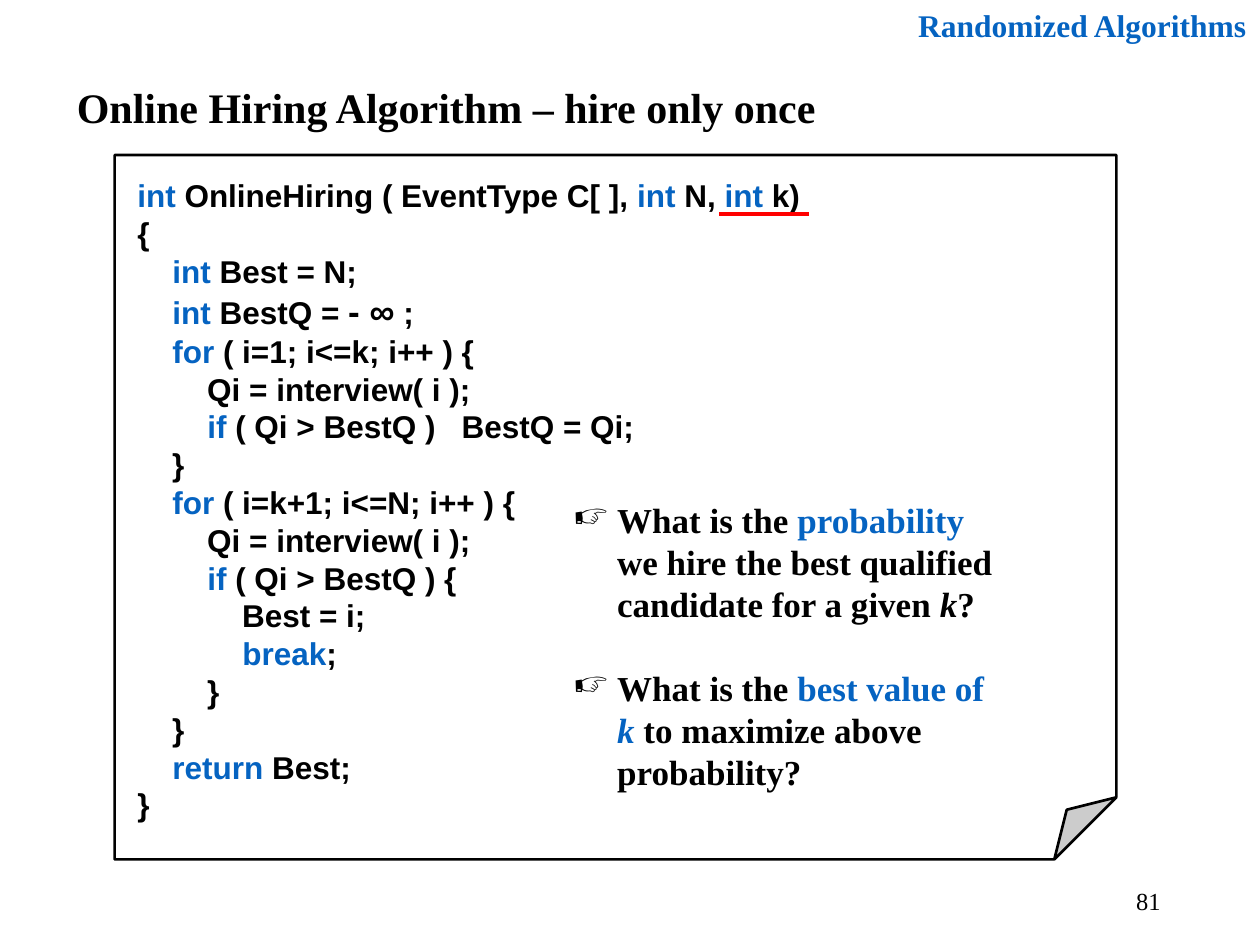
from lxml.etree import SubElement
from pptx import Presentation
from pptx.dml.color import RGBColor
from pptx.enum.shapes import MSO_CONNECTOR, MSO_SHAPE
from pptx.enum.text import MSO_ANCHOR, PP_ALIGN
from pptx.oxml.ns import qn
from pptx.util import Inches, Pt

BLACK = RGBColor(0, 0, 0)
WHITE = RGBColor(255, 255, 255)
BLUE = RGBColor(0x05, 0x63, 0xC1)
RED = RGBColor(255, 0, 0)
BLUE_MARK, SPECIAL_MARK = "*", "~"

TITLE = "Online Hiring Algorithm – hire only once"
TOPIC = "*Randomized Algorithms*"
PAGE = "81"
CODE = """*int* OnlineHiring ( EventType C[ ], *int* N, *int* k)
{
    *int* Best = N;
    *int* BestQ = ~- ∞~ ;
    *for* ( i=1; i<=k; i++ ) {
        Qi = interview( i );
        *if* ( Qi > BestQ )   BestQ = Qi;
    }
    *for* ( i=k+1; i<=N; i++ ) {
        Qi = interview( i );
        *if* ( Qi > BestQ ) {
            Best = i;
            *break*;
        }
    }
    *return* Best;
}""".split("\n")
QUESTIONS = [
    "What is the *probability*\nwe hire the best qualified\ncandidate for a given ~k~?",
    "What is the *best value of*\n*~k~* to maximize above\nprobability?",
]


def write(paragraph, text, size, face="Times New Roman", bold=True, special=None):
    font = paragraph.font
    font.size, font.name, font.bold = Pt(size), face, bold
    for number, line in enumerate(text.split("\n")):
        if number:
            paragraph.add_line_break()
        for i, part in enumerate(line.split(BLUE_MARK)):
            for j, piece in enumerate(part.split(SPECIAL_MARK)):
                if not piece:
                    continue
                run = paragraph.add_run()
                run.text = piece
                run.font.color.rgb = BLUE if i % 2 else BLACK
                if j % 2:
                    for key, value in special.items():
                        setattr(run.font, key, value)


def place(shape, left, top, width, height):
    shape.left, shape.top = Inches(left), Inches(top)
    shape.width, shape.height = Inches(width), Inches(height)
    shape.text_frame.word_wrap = True
    return shape.text_frame


def text_box(left, top, width, height):
    return place(slide.shapes.add_textbox(0, 0, 0, 0), left, top, width, height)


def paragraphs(frame, texts):
    for number, text in enumerate(texts):
        yield (frame.add_paragraph() if number else frame.paragraphs[0]), text


deck = Presentation()
deck.slide_width, deck.slide_height = Inches(10), Inches(7.5)
slide = deck.slides.add_slide(deck.slide_layouts[5])

title = place(slide.shapes.title, 0.51, 0.6, 7.87, 0.5)
title.vertical_anchor = MSO_ANCHOR.TOP
title.paragraphs[0].alignment = PP_ALIGN.LEFT
write(title.paragraphs[0], TITLE, 24)

topic = text_box(6.89, 0, 3.1, 0.4).paragraphs[0]
topic.alignment = PP_ALIGN.RIGHT
write(topic, TOPIC, 18)

page = text_box(7.06, 6.95, 2.25, 0.4)
page.vertical_anchor = MSO_ANCHOR.MIDDLE
page.paragraphs[0].alignment = PP_ALIGN.RIGHT
write(page.paragraphs[0], PAGE, 14, bold=False)

sheet = slide.shapes.add_shape(MSO_SHAPE.FOLDED_CORNER, 0, 0, 0, 0)
fold = sheet._element.spPr.find(qn("a:prstGeom")).get_or_add_avLst()
for guide in list(fold):
    fold.remove(guide)
SubElement(fold, qn("a:gd"), name="adj", fmla="val 8800")
sheet.shadow.inherit = False
sheet.fill.solid()
sheet.fill.fore_color.rgb = WHITE
sheet.line.color.rgb = BLACK
sheet.line.width = Pt(1.5)
listing = place(sheet, 0.91, 1.23, 7.95, 5.59)
listing.word_wrap = False
listing.vertical_anchor = MSO_ANCHOR.TOP
listing.margin_left, listing.margin_top = Inches(0.18), Inches(0.17)
for paragraph, line in paragraphs(listing, CODE):
    paragraph.alignment = PP_ALIGN.LEFT
    write(paragraph, line, 18, "Arial", special={"size": Pt(20)})

underline = slide.shapes.add_connector(
    MSO_CONNECTOR.STRAIGHT, Inches(5.71), Inches(1.7), Inches(6.42), Inches(1.7))
underline.line.color.rgb = RED
underline.line.width = Pt(2)
SubElement(underline._element.spPr, qn("a:effectLst"))

questions = text_box(4.45, 3.91, 3.7, 2.43)
for paragraph, question in paragraphs(questions, QUESTIONS):
    properties = paragraph._p.get_or_add_pPr()
    properties.set("marL", str(Inches(0.35)))
    properties.set("indent", str(-Inches(0.35)))
    SubElement(properties, qn("a:buChar"), char="☞")
    if question != QUESTIONS[0]:
        paragraph.space_before = Pt(24)
    write(paragraph, question, 20, special={"italic": True})

deck.save("out.pptx")
